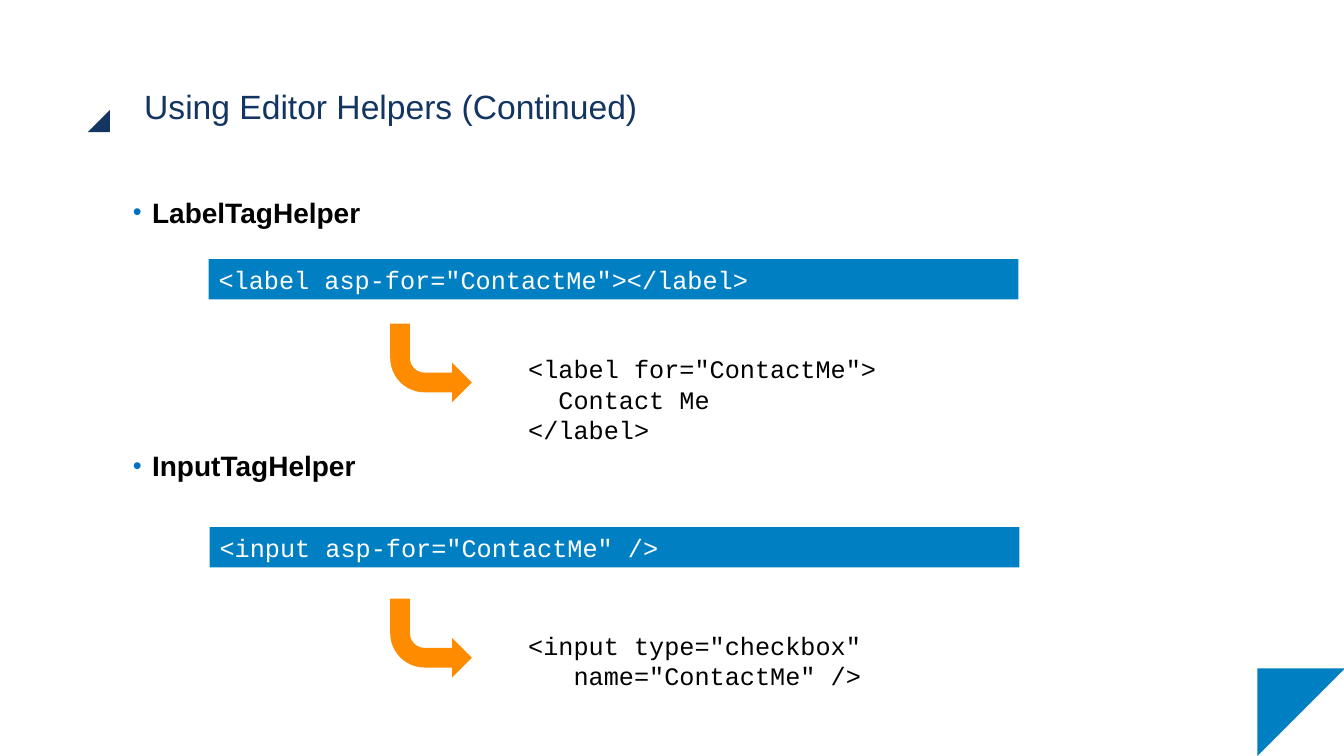
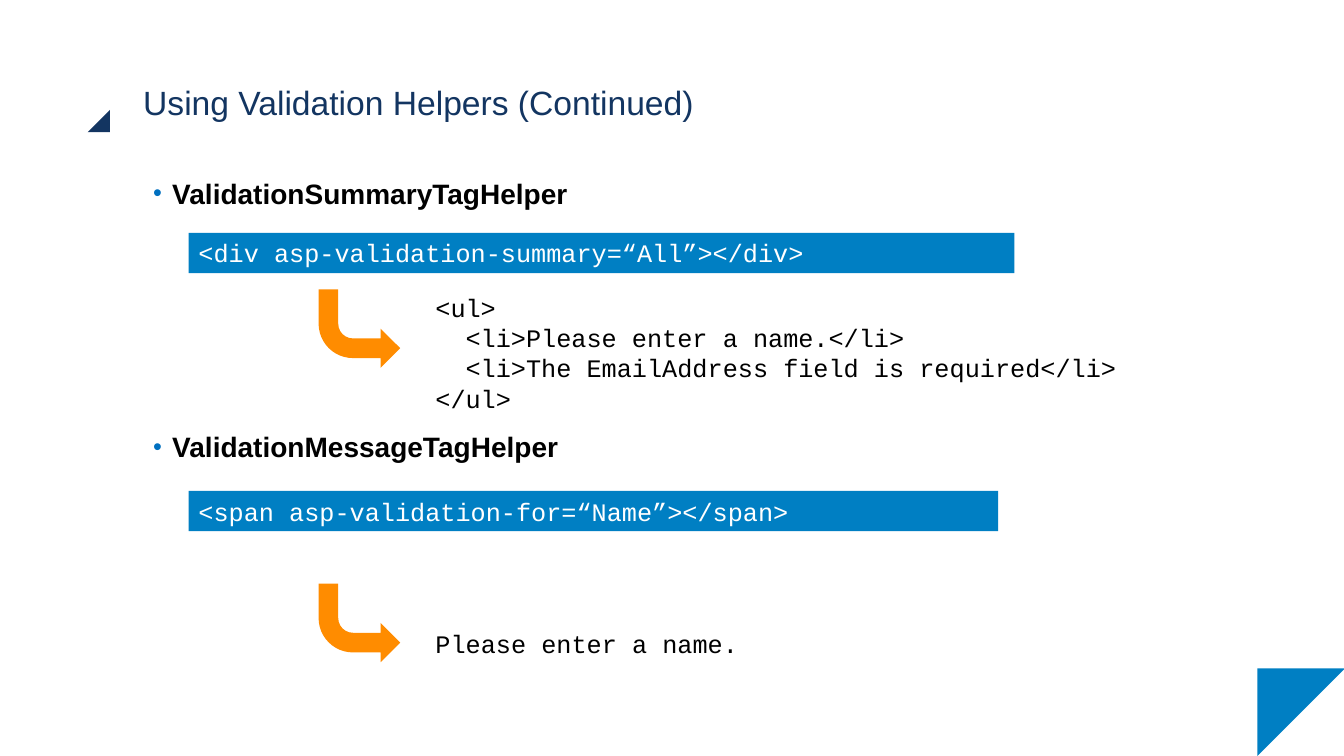
from pptx import Presentation
from pptx.dml.color import RGBColor
from pptx.enum.shapes import MSO_SHAPE
from pptx.enum.text import MSO_ANCHOR, MSO_AUTO_SIZE, PP_ALIGN
from pptx.oxml import parse_xml
from pptx.oxml.ns import nsdecls
from pptx.util import Inches, Pt

NAVY = RGBColor(0x13, 0x35, 0x61)
BLUE = RGBColor(0x00, 0x7F, 0xC3)
ORANGE = RGBColor(0xFF, 0x8C, 0x00)
WHITE = RGBColor(0xFF, 0xFF, 0xFF)
BLACK = RGBColor(0x00, 0x00, 0x00)
DOT = "0070C0"

TITLE = {"name": "Arial", "size": Pt(24), "color": NAVY}
HEAD = {"name": "Arial", "size": Pt(20), "bold": True, "color": BLACK}
SOURCE = {"name": "Courier New", "size": Pt(18), "color": WHITE}
RESULT = {**SOURCE, "color": BLACK}

CHAR = 0.15        # width of one code character, inches
LINE = 0.3         # height of one code line, inches
HEAD_GAP = Pt(157)  # from one heading down to the next

# Boxes are (left, top, width, height); tops in "samples" are relative to the
# sample's own bar. Code lines are (indent in characters, text).
SLIDES = [
    {
        "title": "Using Editor Helpers (Continued)",
        "title_at": (1.43, 0.83),
        "heads": ["LabelTagHelper", "InputTagHelper"],
        "heads_box": (1.22, 1.89, 9.77, 4.86),
        "samples": [
            {"bar": (2.07, 2.57, 8.03), "code": '<label asp-for="ContactMe"></label>',
             "arrow": (1.8, 0.64), "out": (3.07, 0.89, 6.22),
             "lines": [(0, '<label for="ContactMe">'), (2, "Contact Me"), (0, "</label>")]},
            {"bar": (2.08, 5.23, 8.03), "code": '<input asp-for="ContactMe" />',
             "arrow": (1.79, 0.71), "out": (3.06, 0.97, 6.22),
             "lines": [(0, '<input type="checkbox"'), (3, 'name="ContactMe" />')]},
        ],
    },
    {
        "title": "Using Validation Helpers (Continued)",
        "title_at": (1.42, 0.79),
        "heads": ["ValidationSummaryTagHelper", "ValidationMessageTagHelper"],
        "heads_box": (1.42, 1.7, 9.56, 5.05),
        "samples": [
            {"bar": (1.87, 2.31, 8.19), "code": "<div asp-validation-summary=“All”></div>",
             "arrow": (1.29, 0.56), "out": (2.35, 0.54, 7),
             "lines": [(0, "<ul>"), (2, "<li>Please enter a name.</li>"),
                       (2, "<li>The EmailAddress field is required</li>"), (0, "</ul>")]},
            {"bar": (1.87, 4.87, 8.03), "code": "<span asp-validation-for=“Name”></span>",
             "arrow": (1.29, 0.92), "out": (2.35, 1.31, 6.22),
             "lines": [(0, "Please enter a name.")]},
        ],
    },
]


def style(font, form):
    for key, value in form.items():
        if key == "color":
            font.color.rgb = value
        else:
            setattr(font, key, value)


def add_shape(slide, kind, box, fill, flip=None, turn=0):
    shape = slide.shapes.add_shape(kind, *map(Inches, box))
    shape.shadow.inherit = False
    shape.fill.solid()
    shape.fill.fore_color.rgb = fill
    shape.line.fill.background()
    shape.rotation = turn
    if flip:
        shape.element.spPr.get_or_add_xfrm().set(flip, "1")
    return shape


def add_text(frame, texts, form):
    """Fill the frame with one paragraph per text and return them."""
    frame.word_wrap = True
    frame.vertical_anchor = MSO_ANCHOR.TOP
    paras = []
    for text in texts:
        para = frame.add_paragraph() if paras else frame.paragraphs[0]
        para.alignment = PP_ALIGN.LEFT
        run = para.add_run()
        run.text = text
        style(run.font, form)
        paras.append(para)
    return paras


def add_frame(slide, title, left, top):
    """Draw the shared corner marks and the title."""
    add_shape(slide, MSO_SHAPE.RIGHT_TRIANGLE, (0.87, 1.09, 0.22, 0.22), NAVY, flip="flipH")
    add_shape(slide, MSO_SHAPE.RIGHT_TRIANGLE, (12.47, 6.63, 0.87, 0.87), BLUE, turn=90)
    box = slide.shapes.add_textbox(*map(Inches, (left, top, 10.79, 1.42)))
    frame = box.text_frame
    for side in ("left", "top", "right", "bottom"):
        setattr(frame, f"margin_{side}", 0)
    add_text(frame, [title], TITLE)[0].line_spacing = 1.05


def add_heads(slide, heads, box):
    frame = slide.shapes.add_textbox(*map(Inches, box)).text_frame
    for place, para in enumerate(add_text(frame, heads, HEAD)):
        para.space_before = HEAD_GAP if place else Pt(6)
        props = para._p.get_or_add_pPr()
        props.set("marL", str(Inches(0.19)))
        props.set("indent", str(-Inches(0.19)))
        for xml in (
            f'<a:buClr {nsdecls("a")}><a:srgbClr val="{DOT}"/></a:buClr>',
            f'<a:buSzPct {nsdecls("a")} val="90000"/>',
            f'<a:buFont {nsdecls("a")} typeface="Arial"/>',
            f'<a:buChar {nsdecls("a")} char="•"/>',
        ):
            props.append(parse_xml(xml))


def add_code(slide, left, top, width, lines, fill, form):
    box = (left, top, width, LINE * len(lines) + 0.1)
    frame = add_shape(slide, MSO_SHAPE.RECTANGLE, box, fill).text_frame
    paras = add_text(frame, [text for _, text in lines], form)
    frame.auto_size = MSO_AUTO_SIZE.SHAPE_TO_FIT_TEXT
    for para, (indent, _) in zip(paras, lines):
        para._p.get_or_add_pPr().set("marL", str(Inches(indent * CHAR)))


def add_sample(slide, bar, code, arrow, out, lines):
    """Draw a code bar with a bent arrow to the markup it yields."""
    left, top, width = bar
    add_code(slide, left, top, width, [(0, code)], BLUE, SOURCE)
    add_code(slide, left + out[0], top + out[1], out[2], lines, WHITE, RESULT)
    add_shape(slide, MSO_SHAPE.BENT_ARROW,
              (left + arrow[0], top + arrow[1], 0.81, 0.78), ORANGE, flip="flipV")


def main():
    deck = Presentation()
    deck.slide_width, deck.slide_height = Inches(13.33), Inches(7.5)
    for data in SLIDES:
        slide = deck.slides.add_slide(deck.slide_layouts[6])
        add_frame(slide, data["title"], *data["title_at"])
        add_heads(slide, data["heads"], data["heads_box"])
        for sample in data["samples"]:
            add_sample(slide, **sample)
    deck.save("out.pptx")


if __name__ == "__main__":
    main()
